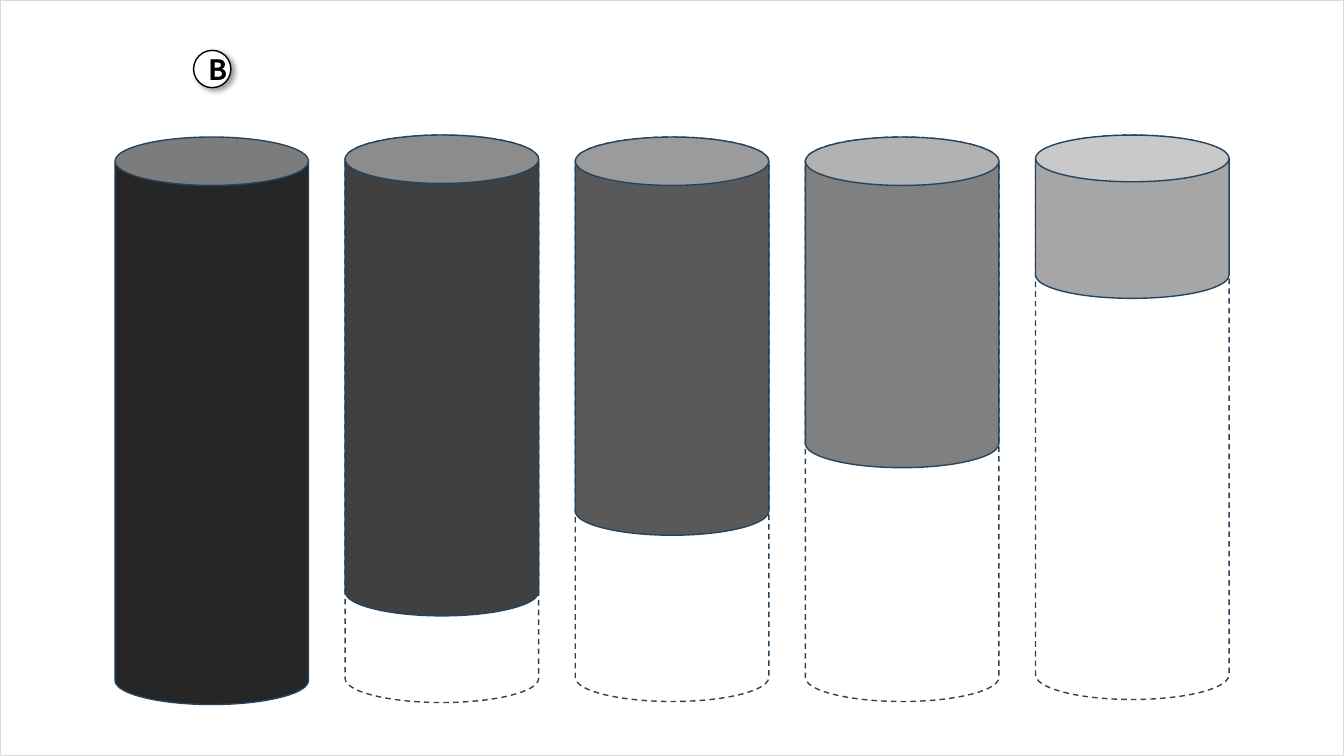
from lxml.etree import SubElement
from pptx import Presentation
from pptx.dml.color import RGBColor
from pptx.enum.dml import MSO_LINE_DASH_STYLE as Dash
from pptx.enum.shapes import MSO_SHAPE as Shape
from pptx.enum.text import MSO_ANCHOR as Anchor, PP_ALIGN as Align
from pptx.oxml.ns import qn
from pptx.util import Inches, Pt

WHITE = RGBColor(0xFF, 0xFF, 0xFF)
BLACK = RGBColor(0x00, 0x00, 0x00)
FRAME_GRAY = RGBColor(0xD9, 0xD9, 0xD9)
OUTLINE_BLUE = RGBColor(0x28, 0x44, 0x5D)

FONT = "Noto Sans CJK JP"
CAN_WIDTH = 1.92
FIRST_LEFT, PITCH = 1.14, 2.2825


class CylinderSlide:
    def __init__(self, slide):
        self.shapes = slide.shapes

    def outline(self, kind, left, top, width, height, line, fill=None):
        shape = self.shapes.add_shape(
            kind, Inches(left), Inches(top), Inches(width), Inches(height))
        shape.shadow.inherit = False
        if fill is None:
            shape.fill.background()
        else:
            shape.fill.solid()
            shape.fill.fore_color.rgb = fill
        shape.line.color.rgb = line
        shape.line.width = Pt(1)
        return shape

    def can(self, left, top, height, fill=None, adjust=0.25):
        cylinder = self.outline(
            Shape.CAN, left, top, CAN_WIDTH, height, OUTLINE_BLUE, fill)
        cylinder.adjustments[0] = adjust
        if fill is None:
            cylinder.line.dash_style = Dash.DASH

    def badge(self, left, top, size, letter):
        circle = self.outline(Shape.OVAL, left, top, size, size, BLACK, WHITE)
        effects = circle._element.spPr.find(qn("a:effectLst"))
        shadow = SubElement(
            effects, qn("a:outerShdw"), blurRad=str(Pt(4)), dist=str(Pt(3)),
            dir="2700000", algn="tl", rotWithShape="0")
        color = SubElement(shadow, qn("a:srgbClr"), val=str(BLACK))
        SubElement(color, qn("a:alpha"), val="40000")

        frame = circle.text_frame
        frame.vertical_anchor = Anchor.MIDDLE
        label = frame.paragraphs[0]
        label.text = letter
        label.alignment = Align.CENTER
        label.font.name = FONT
        label.font.size = Pt(20)
        label.font.bold = True
        label.font.color.rgb = BLACK


def main():
    deck = Presentation()
    deck.slide_width, deck.slide_height = Inches(13.33), Inches(7.5)
    page = CylinderSlide(deck.slides.add_slide(deck.slide_layouts[6]))

    # Slide border
    page.outline(Shape.RECTANGLE, 0, 0, 13.33, 7.5, FRAME_GRAY)

    # Cylinders: top, dashed height, dashed adjust, filled height, adjust, gray
    cylinders = [
        (1.36, None, None, 5.63, 0.25, 0x26),
        (1.34, 5.63, 0.25, 4.77, 0.25, 0x40),
        (1.36, 5.6, 0.25, 3.95, 0.25, 0x59),
        (1.36, 5.6, 0.25, 3.28, 0.25, 0x80),
        (1.34, 5.6, 0.256, 1.62, 0.286, 0xA6),
    ]
    for column, (top, full, full_adjust, level, adjust, gray) in enumerate(cylinders):
        left = FIRST_LEFT + column * PITCH
        if full:
            page.can(left, top, full, adjust=full_adjust)
        page.can(left, top, level, RGBColor(gray, gray, gray), adjust)

    # Badge above the first cylinder
    page.badge(1.92, 0.5, 0.37, "B")

    deck.save("out.pptx")


if __name__ == "__main__":
    main()
